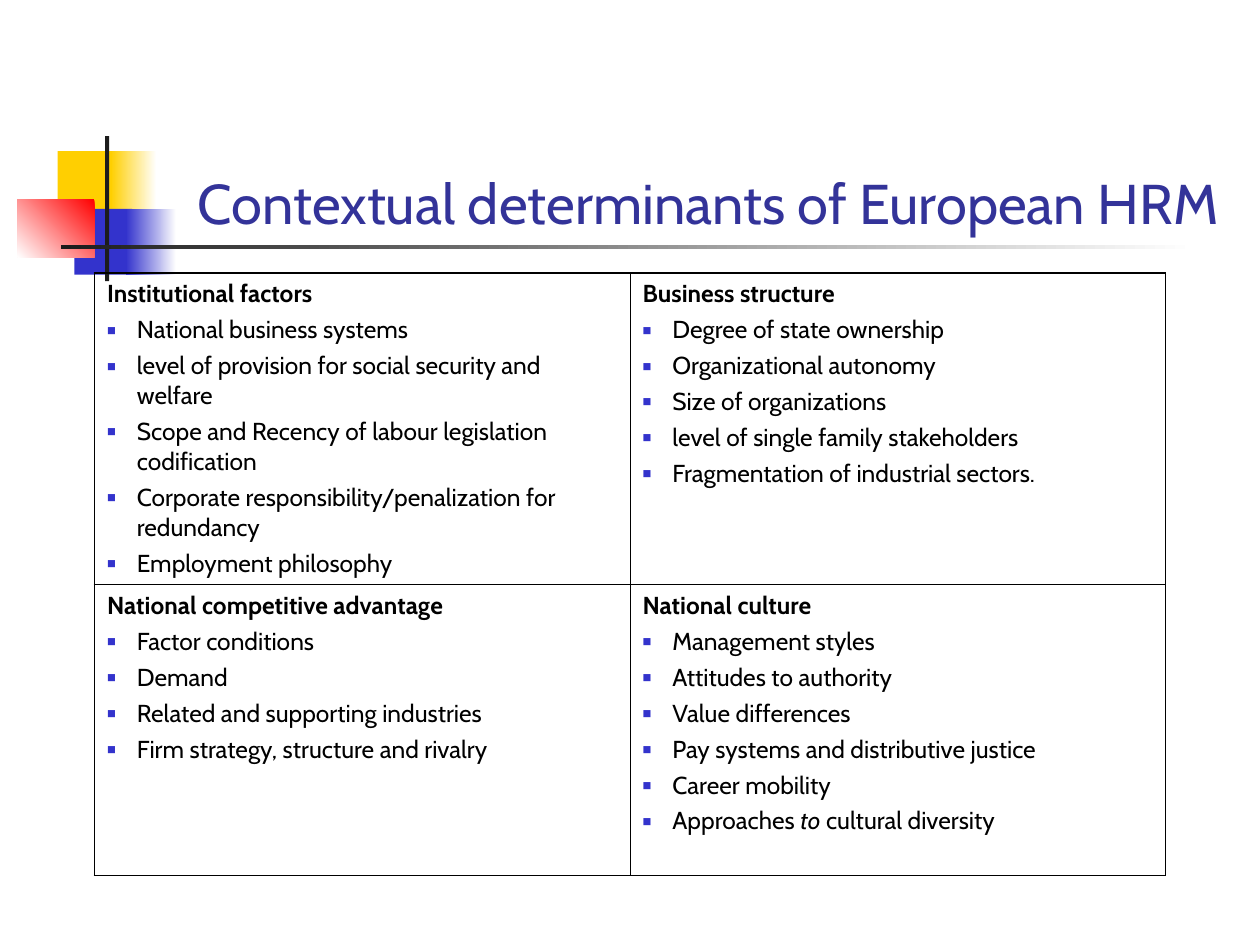
import pptx
import pptx.dml.color
import pptx.enum.text
import pptx.oxml.ns
import pptx.util
from lxml import etree

Pt = pptx.util.Pt
FONT = "Cabin"
HUES = {"gold": "FFCF01", "blue": "3333CC", "red": "FF0000", "dark": "1C1C1C",
        "white": "FFFFFF", "title": "333399", "black": "000000"}
CELLS = [
    [("Institutional factors",
      ["National business systems",
       "level of provision for social security and welfare",
       "Scope and Recency of labour legislation codification",
       "Corporate responsibility/penalization for redundancy",
       "Employment philosophy"]),
     ("Business structure",
      ["Degree of state ownership", "Organizational autonomy",
       "Size of organizations", "level of single family stakeholders",
       "Fragmentation of industrial sectors."])],
    [("National competitive advantage",
      ["Factor conditions", "Demand", "Related and supporting industries",
       "Firm strategy, structure and rivalry"]),
     ("National culture",
      ["Management styles", "Attitudes to authority", "Value differences",
       "Pay systems and distributive justice", "Career mobility",
       "Approaches *to *cultural diversity"])],
]


def rgb(hue):
    """Return the named colour."""
    return pptx.dml.color.RGBColor.from_string(HUES[hue])


def node(up, tag, **attrs):
    """Append a drawing element to its parent."""
    item = etree.SubElement(up, pptx.oxml.ns.qn("a:" + tag))
    for key, val in attrs.items():
        item.set(key, str(val))
    return item


def write(para, text, size=14, hue="black", bold=False, align=None, gap=0, bullet=False):
    """Fill a paragraph; text between asterisks is italic."""
    if bullet:
        props = para._p.get_or_add_pPr()
        props.set("marL", str(Pt(17)))
        props.set("indent", str(-Pt(17)))
        node(node(props, "buClr"), "srgbClr", val=HUES["blue"])
        node(props, "buSzPct", val=60000)
        node(props, "buFont", typeface="Arial")
        node(props, "buChar", char="■")
    para.alignment = align
    para.space_before = Pt(gap)
    for num, part in enumerate(text.split("*")):
        run = para.add_run()
        run.text = part
        font = run.font
        font.name, font.size, font.bold = FONT, Pt(size), bold
        font.italic = num % 2 == 1
        font.color.rgb = rgb(hue)


def block(slide, box, hues, angle=180):
    """Draw a borderless rectangle, solid or fading between two colours."""
    shape = slide.shapes.add_shape(1, *map(Pt, box))
    shape.shadow.inherit = False
    shape.line.fill.background()
    if len(hues) == 1:
        shape.fill.solid()
        shape.fill.fore_color.rgb = rgb(hues[0])
        return
    shape.fill.gradient()
    shape.fill.gradient_angle = angle
    for stop, hue in zip(shape.fill.gradient_stops, hues):
        stop.color.rgb = rgb(hue)


def motif(slide, left, top):
    """Draw the coloured squares and crossing bars."""
    parts = [
        ((23, 8.5, 34.5, 37.5), ["gold"], 0),
        ((53.4, 8.5, 26, 37.5), ["white", "gold"], 180),
        ((32.5, 41.6, 33, 37.5), ["blue"], 0),
        ((62, 41.6, 28.8, 37.5), ["white", "blue"], 180),
        ((0, 36, 44, 33.2), ["red", "white"], 225),
        ((50, 0, 2.4, 82.8), ["dark"], 0),
        ((24.8, 62.3, 648, 2.4), ["white", "dark"], 180),
    ]
    for (x, y, wide, high), hues, angle in parts:
        block(slide, (left + x, top + y, wide, high), hues, angle)


def head(slide, left, top, wide, high):
    """Place the slide title."""
    title = slide.shapes.title
    title.left, title.top, title.width, title.height = map(Pt, (left, top, wide, high))
    frame = title.text_frame
    frame.word_wrap = True
    frame.auto_size = pptx.enum.text.MSO_AUTO_SIZE.NONE
    frame.vertical_anchor = pptx.enum.text.MSO_ANCHOR.BOTTOM
    write(frame.paragraphs[0], "Contextual determinants of European HRM",
          size=32, hue="title", align=pptx.enum.text.PP_ALIGN.RIGHT)


def edge(cell, row, col):
    """Rule a cell, heavier along the outside of the table."""
    props = cell._tc.get_or_add_tcPr()
    outer = {"lnL": col == 0, "lnR": col == 1, "lnT": row == 0, "lnB": row == 1}
    for tag, heavy in outer.items():
        line = node(props, tag, w=Pt(1.08 if heavy else 0.45))
        node(node(line, "solidFill"), "srgbClr", val=HUES["black"])
    cell.fill.background()


def grid(slide, left, top, wide, rows):
    """Build the table of four groups of factors."""
    frame = slide.shapes.add_table(2, 2, *map(Pt, (left, top, wide, sum(rows))))
    table = frame.table
    table.first_row = table.horz_banding = False
    for row, high in enumerate(rows):
        table.rows[row].height = Pt(high)
        for col, (name, items) in enumerate(CELLS[row]):
            cell = table.cell(row, col)
            edge(cell, row, col)
            text = cell.text_frame
            write(text.paragraphs[0], name, bold=True)
            for item in items:
                write(text.add_paragraph(), item, gap=3.5, bullet=True)


def main():
    """Build and save the slide."""
    deck = pptx.Presentation()
    deck.slide_width, deck.slide_height = Pt(720), Pt(540)
    slide = deck.slides.add_slide(deck.slide_layouts[5])
    motif(slide, 10, 77.8)
    head(slide, 90.7, 48.2, 613.4, 90)
    grid(slide, 54, 156, 612, (176.4, 166.3))
    deck.save("out.pptx")


if __name__ == "__main__":
    main()
